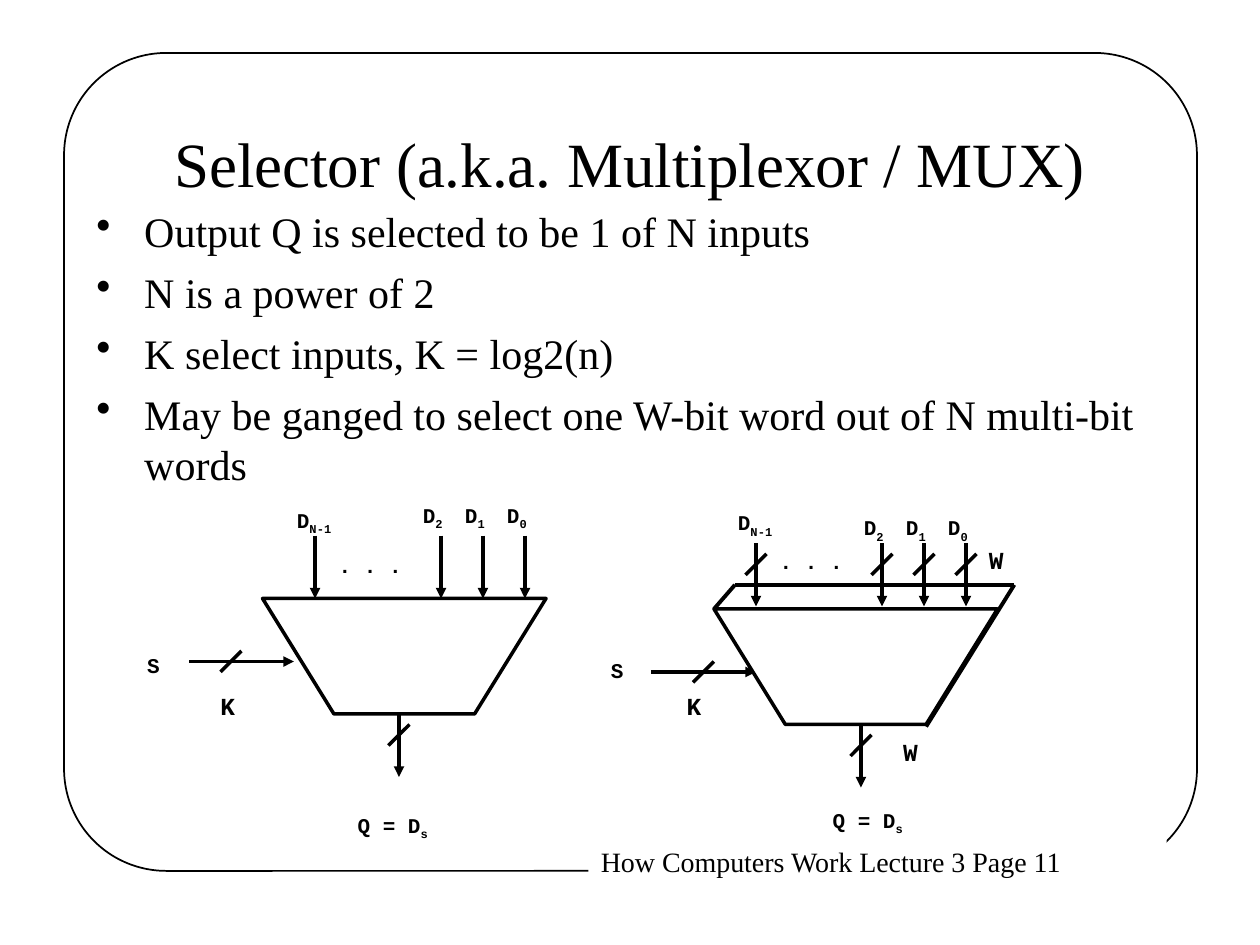
from lxml import etree
from pptx import Presentation
from pptx.dml.color import RGBColor
from pptx.enum.shapes import MSO_CONNECTOR, MSO_SHAPE
from pptx.enum.text import MSO_ANCHOR, MSO_AUTO_SIZE, PP_ALIGN
from pptx.oxml.ns import qn
from pptx.util import Emu, Inches, Pt

LINE = MSO_CONNECTOR.STRAIGHT
ROUNDED, RECT = MSO_SHAPE.ROUNDED_RECTANGLE, MSO_SHAPE.RECTANGLE
TOP, MIDDLE = MSO_ANCHOR.TOP, MSO_ANCHOR.MIDDLE
LEFT, CENTER = PP_ALIGN.LEFT, PP_ALIGN.CENTER
NO_FIT = MSO_AUTO_SIZE.NONE

TITLE = "Selector (a.k.a. Multiplexor / MUX)"
BULLETS = [
    "Output Q is selected to be 1 of N inputs",
    "N is a power of 2",
    "K select inputs, K = log2(n)",
    "May be ganged to select one W-bit word out of N multi-bit words",
]
FOOTER = "How Computers Work Lecture 3 Page 11"
INPUTS = [("N-1", 0), ("2", 12), ("1", 16), ("0", 20)]

THEME = {
    "ink": RGBColor(0, 0, 0),
    "paper": RGBColor(255, 255, 255),
    "title": {"name": "Times New Roman", "size": Pt(36)},
    "body": {"name": "Times New Roman", "size": Pt(24)},
    "footer": {"name": "Times New Roman", "size": Pt(16)},
    "label": {"name": "Courier New", "size": Pt(12), "bold": True},
    "width": {"name": "Courier New", "size": Pt(14), "bold": True},
    "frame_line": Pt(1),
    "line": Pt(2),
    "edge_line": Pt(2.25),
}

COLS, ROWS = 120, 90
MUX_W, MUX_H, MUX_INSET = 27, 11, 6.8

MUXES = [
    {
        "corner": (25, 57), "input_x": 30, "input_y": 51, "axis": 38,
        "select": (18, 63), "select_slash": 22, "bus": False,
        "label_y": (47.76, 47.28, 47.28, 47.28),
        "notes": [
            ("S", "", "label", 12.84, 61.8, 3.6),
            (". . .", "", "label", 31.08, 52.32, 8.4),
            ("Q = D", "s", "label", 32.88, 76.8, 9.12),
            ("K", "", "width", 19.8, 65.52, 3.72),
        ],
        "edges": [],
    },
    {
        "corner": (68, 58), "input_x": 72, "input_y": 51.75, "axis": 82,
        "select": (62, 64), "select_slash": 67, "bus": True,
        "label_y": (48, 48.48, 48.48, 48.48),
        "notes": [
            ("S", "", "label", 57, 62.28, 3.6),
            (". . .", "", "label", 73.08, 51.96, 8.4),
            ("Q = D", "s", "label", 78.12, 76.32, 9.12),
            ("K", "", "width", 64.2, 65.52, 3.72),
            ("W", "", "width", 93, 51.6, 3.72),
            ("W", "", "width", 84.84, 69.96, 3.72),
        ],
        "edges": [(68, 58), (70, 55.7), (96.6, 55.7), (88.2, 69.2)],
    },
]

prs = Presentation()
prs.slide_width, prs.slide_height = Inches(10), Inches(7.5)
UNIT = prs.slide_width / COLS
slide = prs.slides.add_slide(prs.slide_layouts[6])
shapes = slide.shapes


def grid(*values):
    return [Emu(round(v * UNIT)) for v in values]


def apply(target, values):
    for key, value in values.items():
        setattr(target, key, value)


def add_run(p, text, style, subscript=False):
    r = p.add_run()
    r.text = text
    apply(r.font, THEME[style])
    r.font.color.rgb = THEME["ink"]
    if subscript:
        r.font._element.set("baseline", "-25000")


def outline(sp, width):
    sp.shadow.inherit = False
    sp.line.color.rgb = THEME["ink"]
    sp.line.width = width


def add_text(box, text, style, sub="", wrap=False, anchor=TOP, **para):
    tf = shapes.add_textbox(*grid(*box)).text_frame
    apply(tf, {"word_wrap": wrap, "vertical_anchor": anchor, "auto_size": NO_FIT})
    p = tf.paragraphs[0]
    apply(p, para)
    add_run(p, text, style)
    if sub:
        add_run(p, sub, style, True)


def add_line(start, end, width=THEME["line"], arrow=False):
    sp = shapes.add_connector(LINE, *grid(*start, *end))
    sp.line.color.rgb = THEME["ink"]
    sp.line.width = width
    if arrow:
        etree.SubElement(sp.line._get_or_add_ln(), qn("a:tailEnd"), type="triangle")
    etree.SubElement(sp._element.spPr, qn("a:effectLst"))


def add_slash(x, y):
    add_line((x - 1, y + 1), (x + 1, y - 1))


def add_bullets(box):
    tf = shapes.add_textbox(*grid(*box)).text_frame
    tf.word_wrap = True
    for i, text in enumerate(BULLETS):
        p = tf.add_paragraph() if i else tf.paragraphs[0]
        p.space_before = Pt(6)
        add_run(p, text, "body")
        pPr = p._p.get_or_add_pPr()
        pPr.set("marL", str(Inches(0.38)))
        pPr.set("indent", str(-Inches(0.38)))
        etree.SubElement(pPr, qn("a:buChar"), char="•")


def add_mux(mux):
    sx, sy = mux["select"]
    add_line((sx, sy), (sx + 10, sy), arrow=True)
    add_slash(mux["select_slash"], sy)

    top = mux["input_y"]
    for (sub, dx), label_y in zip(INPUTS, mux["label_y"]):
        x = mux["input_x"] + dx
        add_line((x, top), (x, top + 6), arrow=True)
        if mux["bus"]:
            add_slash(x, top + 2)
        add_text((x - 2.9, label_y, 3.12 + 0.66 * 2 * (len(sub) > 1) + 1.2, 3.72),
                 "D", "label", sub, line_spacing=0.9)

    left, y = mux["corner"]
    right, bottom = left + MUX_W, y + MUX_H
    fb = shapes.build_freeform(*grid(left, y), scale=1.0)
    fb.add_line_segments([grid(right, y), grid(right - MUX_INSET, bottom),
                          grid(left + MUX_INSET, bottom)], close=True)
    sp = fb.convert_to_shape()
    sp.fill.solid()
    sp.fill.fore_color.rgb = THEME["paper"]
    outline(sp, THEME["line"])

    axis = mux["axis"]
    add_line((axis, bottom), (axis, bottom + 6), arrow=True)
    add_slash(axis, bottom + 2)
    for start, end in zip(mux["edges"], mux["edges"][1:]):
        add_line(start, end, THEME["edge_line"])
    for text, sub, style, x, note_y, w in mux["notes"]:
        add_text((x, note_y, w, 3.6), text, style, sub, line_spacing=0.9)


frame = shapes.add_shape(ROUNDED, *grid(6.1, 5.04, COLS - 12.1, ROWS - 12.1))
frame.adjustments[0] = 0.125
frame.fill.background()
outline(frame, THEME["frame_line"])

footer = shapes.add_shape(RECT, *grid(56.04, 79.8, 55.08, 4.44))
footer.shadow.inherit = False
footer.fill.solid()
footer.fill.fore_color.rgb = THEME["paper"]
footer.line.fill.background()
tf = footer.text_frame
apply(tf, {"word_wrap": True, "vertical_anchor": TOP})
tf.paragraphs[0].alignment = LEFT
add_run(tf.paragraphs[0], FOOTER, "footer")

add_text((9, 8, COLS - 18, 15), TITLE, "title", wrap=True, anchor=MIDDLE, alignment=CENTER)
add_bullets((8, 19, COLS - 18, 54))
for mux in MUXES:
    add_mux(mux)

prs.save("out.pptx")
